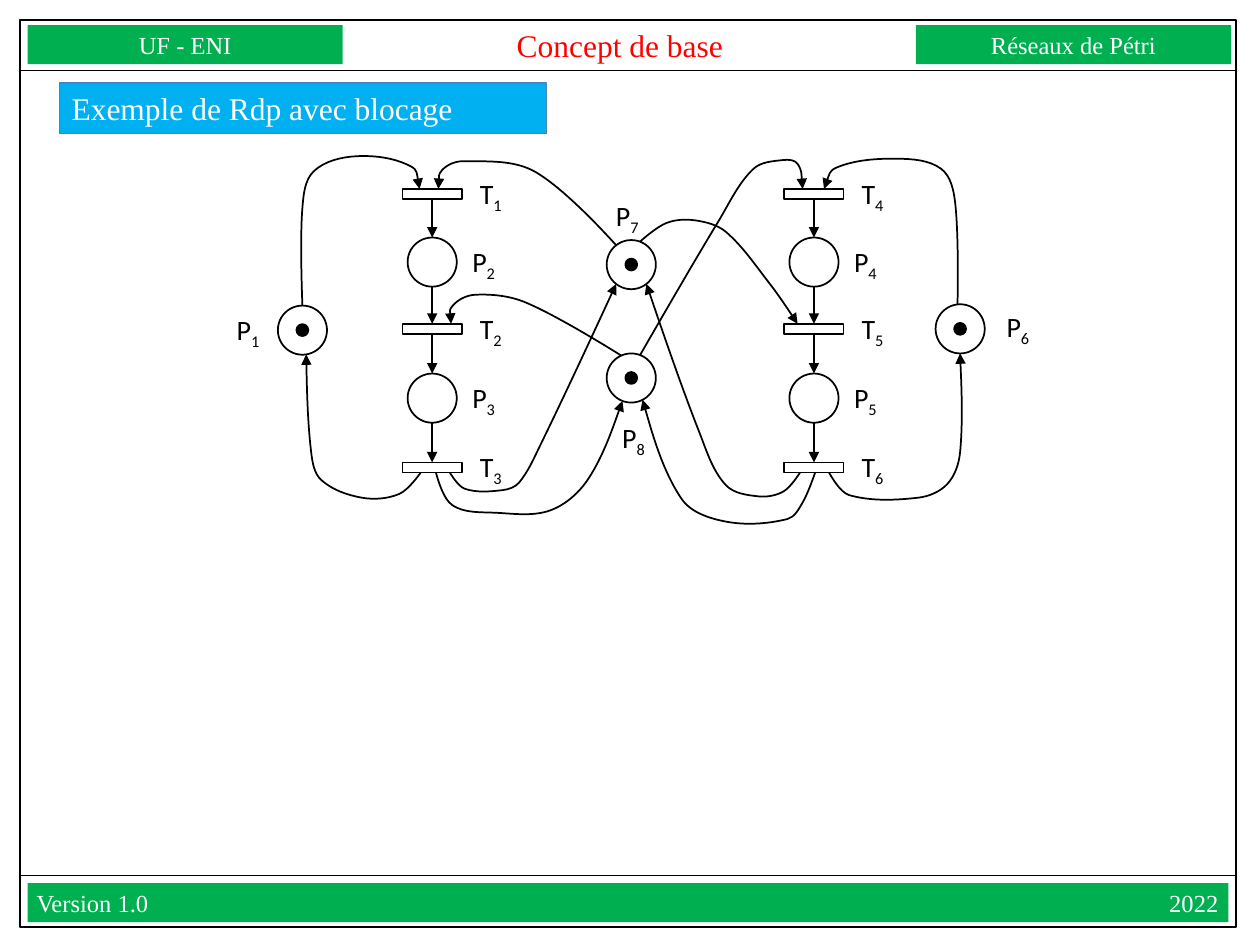
from itertools import chain, pairwise
from math import dist, sqrt

from lxml import etree
from pptx import Presentation
from pptx.dml.color import RGBColor
from pptx.enum.shapes import MSO_CONNECTOR as Link, MSO_SHAPE as Preset
from pptx.enum.text import MSO_ANCHOR as Anchor, MSO_AUTO_SIZE as AutoSize, PP_ALIGN as Align
from pptx.oxml.ns import qn
from pptx.util import Inches, Pt

COLUMNS, ROWS = 1000, 750
CELL = Inches(10) // COLUMNS
PLACE, TOKEN, BAR_WIDTH, BAR_HEIGHT = 39, 8, 47, 8
BLACK, WHITE, GREEN, RED = "000000", "FFFFFF", "00B050", "FF0000"
SERIF = "Times New Roman"
BANNER = {"vertical_anchor": Anchor.MIDDLE,
          **dict.fromkeys(("margin_left", "margin_right", "margin_top", "margin_bottom"), 0)}

CHAINS = {343: ("T1", "P2", "T2", "P3", "T3"), 646: ("T4", "P4", "T5", "P5", "T6")}
CHAIN_ROWS = (154, 208, 261, 316, 371)
MARKED = {"P1": (240, 262), "P6": (762, 261), "P7": (501, 210), "P8": (501, 300)}
NODES = MARKED | {name: (column, row) for column, names in CHAINS.items()
                  for name, row in zip(names, CHAIN_ROWS)}
LABEL_SHIFT = {"P": (22, -19), "T": (28, -19), "P1": (-62, -19), "P6": (27, -20),
               "P7": (-22, -57), "P8": (-17, 29)}
ARCS = [
    ("T3", -9, [(317, 392), (287, 395), (255, 381), (247, 359)], "P1", 3),
    ("T6", 12, [(674, 393), (729, 395), (752, 384), (762, 359)], "P6", 0),
    ("P1", 0, [(240, 165), (249, 136), (283, 124), (326, 132)], "T1", -10),
    ("P6", -2, [(758, 160), (747, 134), (712, 126), (664, 133)], "T4", 8),
    ("T3", 14, [(369, 388), (399, 389), (412, 383), (429, 353)], "P7", -12),
    ("T6", -11, [(622, 390), (602, 394), (576, 385), (555, 343)], "P7", 12),
    ("T3", 3, [(359, 401), (394, 407), (437, 405), (467, 380)], "P8", -7),
    ("T6", 1, [(637, 399), (625, 412), (576, 414), (541, 396)], "P8", 9),
    ("P8", -8, [(417, 240), (377, 234), (359, 243)], "T2", 15),
    ("P8", 7, [(570, 176), (598, 134), (622, 127), (633, 130)], "T4", -9),
    ("P7", -12, [(424, 136), (368, 128), (351, 135)], "T1", 5),
    ("P7", 7, [(529, 177), (552, 175), (576, 184), (610, 224)], "T5", -13),
]


def color(hex_value):
    return RGBColor.from_string(hex_value)


def grid(*cells):
    return [round(cell * CELL) for cell in cells]


def draw_line(outlined, width, hex_value=BLACK):
    outlined.line.color.rgb = color(hex_value)
    outlined.line.width = Pt(width)


def add_arrowhead(drawn):
    etree.SubElement(drawn._element.spPr.get_or_add_ln(), qn("a:tailEnd"), type="triangle")


def style(shape, fill=None, line=None, outline=BLACK):
    shape.shadow.inherit = False
    if fill:
        shape.fill.solid()
        shape.fill.fore_color.rgb = color(fill)
    else:
        shape.fill.background()
    if line:
        draw_line(shape, line, outline)
    else:
        shape.line.fill.background()


def add_box(slide, preset, cells, **look):
    box = slide.shapes.add_shape(preset, *grid(*cells))
    style(box, **look)
    return box


def add_centred(slide, preset, centre, width, height, **look):
    x, y = centre
    return add_box(slide, preset, (x - width / 2, y - height / 2, width, height), **look)


def add_link(slide, start, end, width=1):
    link = slide.shapes.add_connector(Link.STRAIGHT, *grid(*start, *end))
    draw_line(link, width)
    etree.SubElement(link._element.spPr, qn("a:effectLst"))
    return link


def write(shape, text, size, face=SERIF, hex_value=WHITE, align=Align.LEFT,
          tab_stop=None, subscript=None, frame_format=None):
    frame = shape.text_frame
    layout = {"word_wrap": True, "auto_size": AutoSize.SHAPE_TO_FIT_TEXT,
              "vertical_anchor": Anchor.TOP, **(frame_format or {})}
    for attribute, value in layout.items():
        setattr(frame, attribute, value)
    paragraph = frame.paragraphs[0]
    paragraph.alignment = align
    if tab_stop:
        stops = etree.SubElement(paragraph._p.get_or_add_pPr(), qn("a:tabLst"))
        etree.SubElement(stops, qn("a:tab"), pos=str(tab_stop * CELL), algn="r")
    for part in filter(None, (text, subscript)):
        run = paragraph.add_run()
        run.text = part
        for attribute, value in {"size": Pt(size), "name": face}.items():
            setattr(run.font, attribute, value)
        run.font.color.rgb = color(hex_value)
        if part is subscript:
            run._r.get_or_add_rPr().set("baseline", "-25000")


def edge_point(name, shift, leaving):
    x, y = NODES[name]
    if name.startswith("T"):
        return x + shift, y + (BAR_HEIGHT / 2 if leaving else -BAR_HEIGHT / 2)
    rise = sqrt((PLACE / 2) ** 2 - shift ** 2)
    return x + shift, y + (-rise if leaving else rise)


def direction(before, after):
    length = dist(before, after)
    return [(b - a) / length for a, b in zip(before, after)]


def smooth_bends(points):
    still = [0, 0]
    tangents = [still, *map(direction, points, points[2:]), still]
    for (start, leave), (end, arrive) in pairwise(zip(points, tangents)):
        reach = dist(start, end) / 3
        yield [p + reach * t for p, t in zip(start, leave)]
        yield [p - reach * t for p, t in zip(end, arrive)]
        yield end


def add_arc(slide, source, source_shift, waypoints, target, target_shift):
    points = [edge_point(source, source_shift, True), *waypoints,
              edge_point(target, target_shift, False)]
    builder = slide.shapes.build_freeform(*grid(*points[0]))
    builder.add_line_segments([grid(*bend) for bend in smooth_bends(points)], close=False)
    arc = builder.convert_to_shape()
    segments = list(arc._element.iter(qn("a:lnTo")))
    outline = segments[0].getparent()
    for first in range(0, len(segments), 3):
        curve = etree.SubElement(outline, qn("a:cubicBezTo"))
        for segment in segments[first:first + 3]:
            curve.append(segment[0])
            outline.remove(segment)
    style(arc, line=1)
    add_arrowhead(arc)


def add_page_frame(slide):
    add_box(slide, Preset.RECTANGLE, (16, 16, 965, 720), line=1)
    for row in (56, 695):
        add_link(slide, (16, row), (980, row), 0.75)
    for text, left in (("UF - ENI", 22), ("Réseaux de Pétri", 727)):
        banner = add_box(slide, Preset.RECTANGLE, (left, 20, 250, 31), fill=GREEN)
        write(banner, text, 14, align=Align.CENTER, frame_format=BANNER)
    footer = add_box(slide, Preset.RECTANGLE, (22, 701, 953, 31), fill=GREEN)
    write(footer, "Version 1.0\t2022", 14, tab_stop=938,
          frame_format=BANNER | {"margin_left": 7 * CELL})
    topic = slide.shapes.add_textbox(*grid(367, 20, 250, 31))
    write(topic, "Concept de base", 18, hex_value=RED, align=Align.CENTER, frame_format=BANNER)
    heading = add_box(slide, Preset.RECTANGLE, (47, 66, 387, 40),
                      fill="00B0F0", line=0.75, outline="4F81BD")
    write(heading, "Exemple de Rdp avec blocage", 18)


def add_node(slide, name):
    if name.startswith("T"):
        return add_centred(slide, Preset.RECTANGLE, NODES[name], BAR_WIDTH, BAR_HEIGHT, line=1)
    return add_centred(slide, Preset.OVAL, NODES[name], PLACE, PLACE, line=1)


def add_label(slide, name):
    x, y = NODES[name]
    right, down = LABEL_SHIFT.get(name, LABEL_SHIFT[name[0]])
    label = slide.shapes.add_textbox(*grid(x + right, y + down, 46, 37))
    write(label, name[0], 16, "Calibri", BLACK, subscript=name[1])


def add_net(slide):
    drawn = {name: add_node(slide, name) for name in NODES}
    for source, target in chain.from_iterable(map(pairwise, CHAINS.values())):
        arrow = add_link(slide, edge_point(source, 0, True), edge_point(target, 0, False))
        if source.startswith("T"):
            arrow.begin_connect(drawn[source], 2)
            arrow.end_connect(drawn[target], 0)
        else:
            x, y = NODES[source]
            arrow.begin_x, arrow.begin_y = grid(x, y + PLACE / 2)
            arrow.end_connect(drawn[target], 0)
        if target.startswith("P"):
            x, y = NODES[target]
            arrow.end_x, arrow.end_y = grid(x, y - PLACE / 2)
        add_arrowhead(arrow)
    for arc in ARCS:
        add_arc(slide, *arc)
    for name in NODES:
        add_label(slide, name)
    for centre in MARKED.values():
        add_centred(slide, Preset.OVAL, centre, TOKEN, TOKEN, fill=BLACK, line=2)


def main():
    deck = Presentation()
    deck.slide_width, deck.slide_height = grid(COLUMNS, ROWS)
    slide = deck.slides.add_slide(deck.slide_layouts[6])
    add_page_frame(slide)
    add_net(slide)
    deck.save("out.pptx")


if __name__ == "__main__":
    main()
